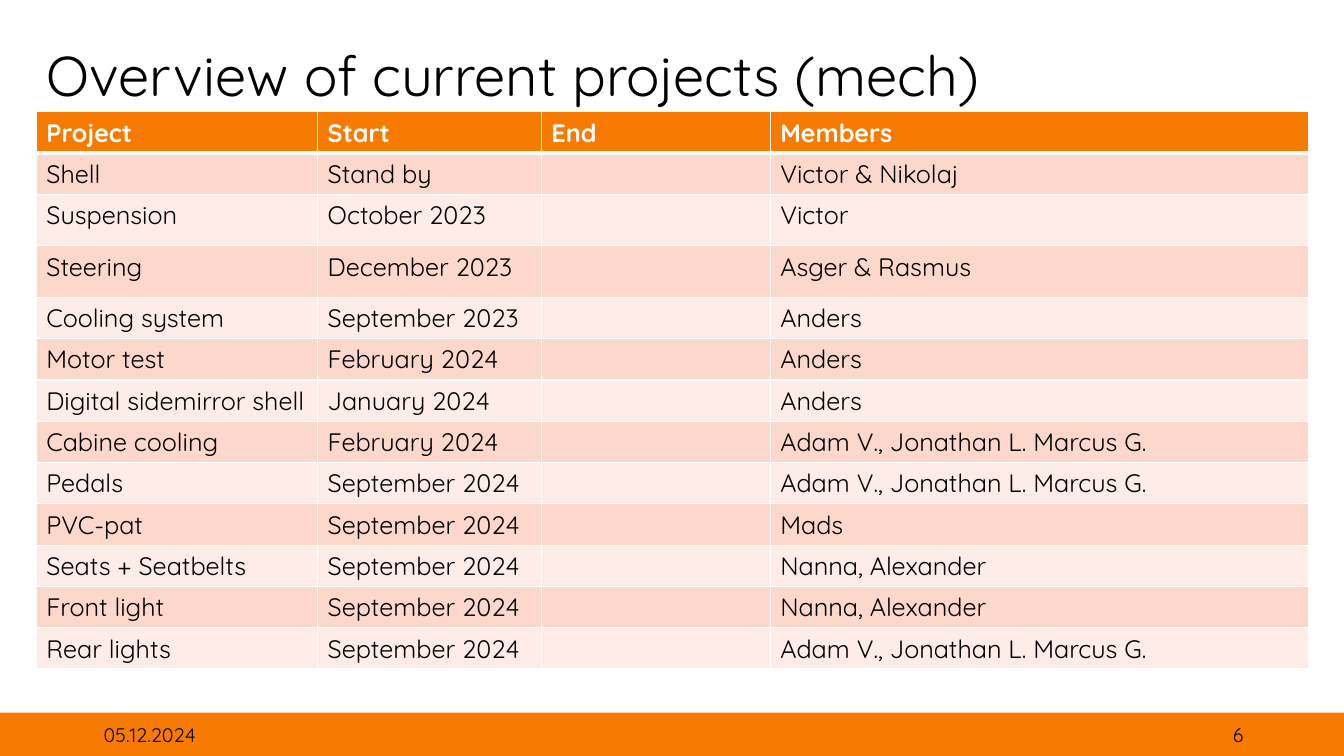
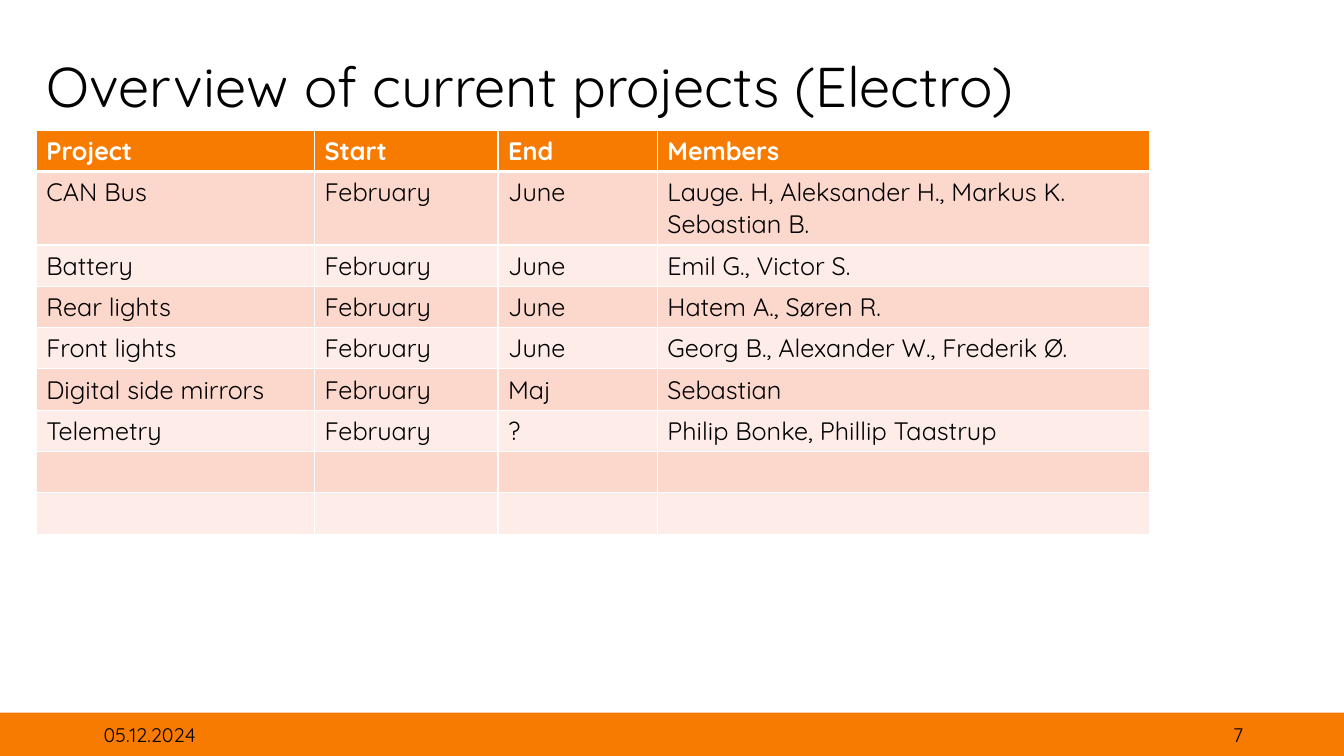
import lxml.etree
import pptx
import pptx.dml.color
import pptx.enum.shapes
import pptx.enum.text
import pptx.oxml.ns
import pptx.util

SCALE = 9144  # EMU in one px, 100 px to the inch
WIDE, HIGH = 1333, 750
LEFT = 36
ROW = 41
FONT = "Quicksand"
COLORS = {"band": "F67B00", "dark": "FBD7CC", "light": "FDECE7",
          "text": "000000", "white": "FFFFFF"}
ALIGN = pptx.enum.text.PP_ALIGN
MIDDLE = pptx.enum.text.MSO_ANCHOR.MIDDLE


def px(size):
    return pptx.util.Emu(size * SCALE)


def paint(fill, name):
    fill.solid()
    fill.fore_color.rgb = pptx.dml.color.RGBColor.from_string(COLORS[name])


def write(frame, text, size=18, color="text", bold=False,
          align=ALIGN.LEFT, space=1.0):
    para = frame.paragraphs[0]
    para.alignment = align
    para.line_spacing = space
    if not text:
        return
    run = para.add_run()
    run.text = text
    run.font.name = FONT
    run.font.size = pptx.util.Pt(size)
    run.font.bold = bold
    paint(run.font.fill, color)


def border(cell, top, bottom):
    """Draw white cell edges; top and bottom widths are in points."""
    props = cell._tc.get_or_add_tcPr()
    name = pptx.oxml.ns.qn
    for side, width in (("L", 1), ("R", 1), ("T", top), ("B", bottom)):
        line = lxml.etree.SubElement(props, name("a:ln" + side),
                                     w=str(pptx.util.Pt(width)))
        fill = lxml.etree.SubElement(line, name("a:solidFill"))
        lxml.etree.SubElement(fill, name("a:srgbClr"), val=COLORS["white"])


class Deck:
    def __init__(self):
        self.file = pptx.Presentation()
        self.file.slide_width, self.file.slide_height = px(WIDE), px(HIGH)
        self.slide = None

    def page(self, title, top, date, number):
        layout = self.file.slide_layouts.get_by_name("Title Only")
        self.slide = self.file.slides.add_slide(layout)
        self.title(title, top)
        self.band()
        self.label(date, 93, ALIGN.LEFT)
        self.label(number, 943, ALIGN.RIGHT)

    def title(self, text, top):
        shape = self.slide.shapes.title
        shape.left, shape.top = px(LEFT), px(top)
        shape.width, shape.height = px(1123), px(145)
        frame = shape.text_frame
        frame.auto_size = pptx.enum.text.MSO_AUTO_SIZE.NONE
        frame.vertical_anchor = MIDDLE
        write(frame, text, size=40, space=0.9)

    def band(self):
        shape = self.slide.shapes.add_shape(
            pptx.enum.shapes.MSO_SHAPE.RECTANGLE,
            px(0), px(707), px(WIDE), px(HIGH - 707))
        shape.shadow.inherit = False
        shape.line.fill.background()
        paint(shape.fill, "band")

    def label(self, text, left, align):
        box = self.slide.shapes.add_textbox(px(left), px(709), px(300), px(40))
        box.text_frame.word_wrap = True
        box.text_frame.vertical_anchor = MIDDLE
        write(box.text_frame, text, size=14, align=align)

    def table(self, top, widths, rows, tall):
        """Fill a banded table; tall maps a row index to its height."""
        highs = [tall.get(i, ROW) for i in range(len(rows))]
        grid = self.slide.shapes.add_table(
            len(rows), len(widths), px(LEFT), px(top),
            px(sum(widths)), px(sum(highs))).table
        for col, width in zip(grid.columns, widths):
            col.width = px(width)
        for i, (row, high) in enumerate(zip(rows, highs)):
            grid.rows[i].height = px(high)
            head = i == 0
            shade = "band" if head else "dark" if i % 2 else "light"
            for j, text in enumerate(row):
                cell = grid.cell(i, j)
                border(cell, 3 if i == 1 else 1, 3 if head else 1)
                paint(cell.fill, shade)
                write(cell.text_frame, text, bold=head,
                      color="white" if head else "text")


HEAD = ("Project", "Start", "End", "Members")
DATE = "05.12.2024"
TEAM = "Adam V., Jonathan L. Marcus G."
MECH = [
    HEAD,
    ("Shell", "Stand by", "", "Victor & Nikolaj"),
    ("Suspension", "October 2023", "", "Victor"),
    ("Steering", "December 2023", "", "Asger & Rasmus"),
    ("Cooling system", "September 2023", "", "Anders"),
    ("Motor test", "February 2024", "", "Anders"),
    ("Digital sidemirror shell", "January 2024", "", "Anders"),
    ("Cabine cooling", "February 2024", "", TEAM),
    ("Pedals", "September 2024", "", TEAM),
    ("PVC-pat", "September 2024", "", "Mads"),
    ("Seats + Seatbelts", "September 2024", "", "Nanna, Alexander"),
    ("Front light", "September 2024", "", "Nanna, Alexander"),
    ("Rear lights", "September 2024", "", TEAM),
]
POWER = [
    HEAD,
    ("CAN Bus", "February", "June",
     "Lauge. H, Aleksander H., Markus K. Sebastian B."),
    ("Battery", "February", "June", "Emil G., Victor S."),
    ("Rear lights", "February", "June", "Hatem A., Søren R."),
    ("Front lights", "February", "June", "Georg B., Alexander W., Frederik Ø."),
    ("Digital side mirrors", "February", "Maj", "Sebastian"),
    ("Telemetry", "February", "?", "Philip Bonke, Phillip Taastrup"),
    ("",) * 4,
    ("",) * 4,
]


def main():
    deck = Deck()

    # Mechanical projects
    deck.page("Overview of current projects (mech)", 5, DATE, "6")
    deck.table(111, (279, 222, 227, 534), MECH, {2: 51, 3: 51})

    # Electrical projects
    deck.page("Overview of current projects (Electro)", 16, DATE, "7")
    deck.table(129, (276, 182, 158, 488), POWER, {1: 73})

    deck.file.save("out.pptx")


if __name__ == "__main__":
    main()
